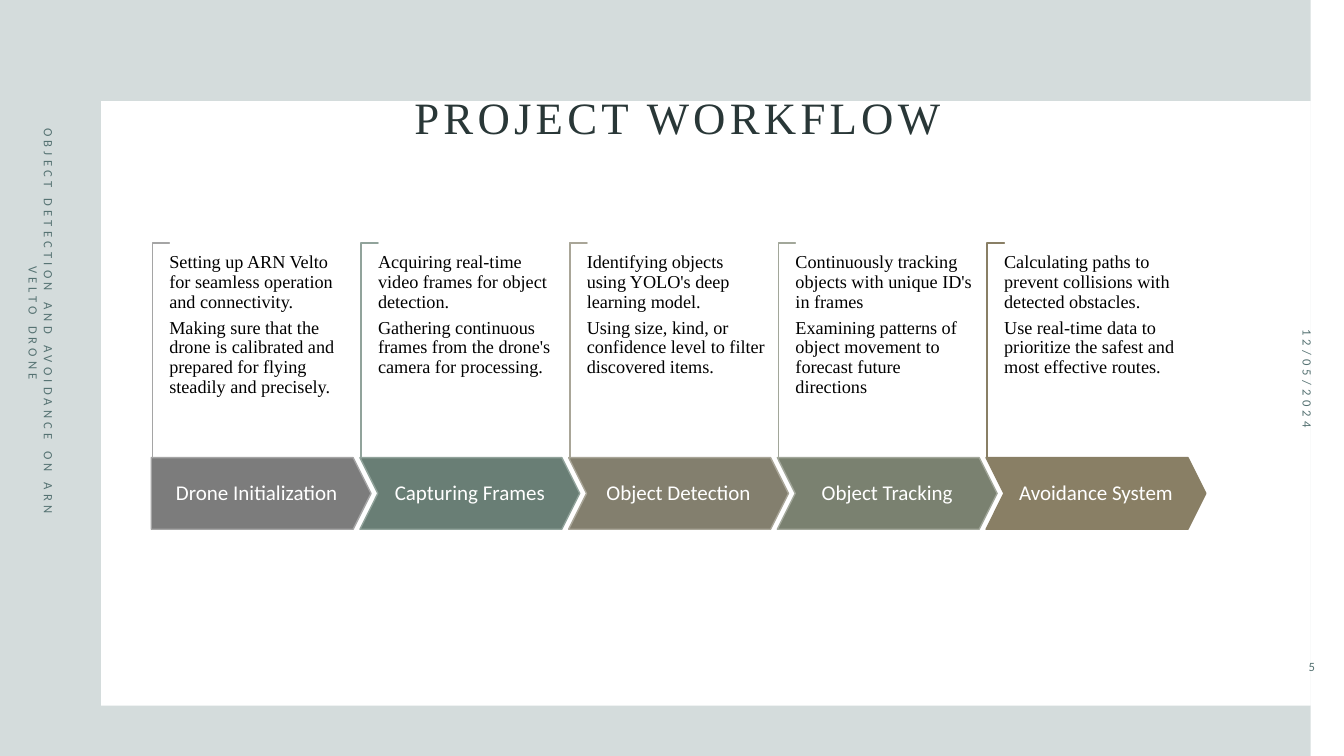
from typing import NamedTuple

from pptx import Presentation
from pptx import util as u
from pptx.dml.color import RGBColor
from pptx.enum import shapes, text

WHITE = RGBColor(0xFF, 0xFF, 0xFF)
BLACK = RGBColor(0, 0, 0)
DARK = RGBColor(0x29, 0x37, 0x37)
TEAL = RGBColor(0x55, 0x72, 0x72)
MIST = RGBColor(0xD4, 0xDC, 0xDC)
GRAY = RGBColor(0x7C, 0x7C, 0x7C)
SILVER = RGBColor(0xA5, 0xA5, 0xA5)
SAGE = RGBColor(0x69, 0x7E, 0x75)
PALE_SAGE = RGBColor(0x91, 0xA3, 0x9B)
STONE = RGBColor(0x83, 0x7F, 0x6E)
PALE_STONE = RGBColor(0xA9, 0xA6, 0x98)
MOSS = RGBColor(0x7A, 0x81, 0x70)
PALE_MOSS = RGBColor(0xA2, 0xA7, 0x9A)
BRONZE = RGBColor(0x89, 0x7F, 0x65)

SERIF = "Times New Roman"
SANS = "Calibri"
LEFT = 1.5
PITCH = 2.07


class Box(NamedTuple):
    left: float
    top: float
    width: float
    height: float


class Style(NamedTuple):
    font: str
    size: float
    color: RGBColor
    align: text.PP_ALIGN
    line: float = 1.0
    after: float = 0
    track: float = 0


class Step(NamedTuple):
    label: str
    fill: RGBColor
    edge: RGBColor
    notes: tuple[str, str]


class Margin(NamedTuple):
    words: str
    box: Box
    turn: int
    align: text.PP_ALIGN


HEAD = Style(SERIF, 32, DARK, text.PP_ALIGN.CENTER, 0.9, track=3)
LABEL = Style(SANS, 15, WHITE, text.PP_ALIGN.CENTER, 0.9)
NOTE = Style(SERIF, 13, BLACK, text.PP_ALIGN.LEFT, 0.9, 4.55)

STEPS = [
    Step("Drone Initialization", GRAY, SILVER, (
        "Setting up ARN Velto for seamless operation and connectivity.",
        "Making sure that the drone is calibrated and prepared for flying "
        "steadily and precisely.")),
    Step("Capturing Frames", SAGE, PALE_SAGE, (
        "Acquiring real-time video frames for object detection.",
        "Gathering continuous frames from the drone's camera for processing.")),
    Step("Object Detection", STONE, PALE_STONE, (
        "Identifying objects using YOLO's deep learning model.",
        "Using size, kind, or confidence level to filter discovered items.")),
    Step("Object Tracking", MOSS, PALE_MOSS, (
        "Continuously tracking objects with unique ID's in frames",
        "Examining patterns of object movement to forecast future directions")),
    Step("Avoidance System", BRONZE, BRONZE, (
        "Calculating paths to prevent collisions with detected obstacles.",
        "Use real-time data to prioritize the safest and most effective routes.")),
]

MARGINS = [
    Margin("OBJECT DETECTION AND AVOIDANCE ON ARN VELTO DRONE",
           Box(-1.84, 2.98, 4.5, 0.45), 90, text.PP_ALIGN.CENTER),
    Margin("12/05/2024", Box(10.72, 3.53, 4.5, 0.45), 90, text.PP_ALIGN.CENTER),
    Margin("5", Box(12.19, 6.41, 0.95, 0.4), 0, text.PP_ALIGN.RIGHT),
]


def place(box: Box) -> list[u.Length]:
    return [u.Inches(side) for side in box]


def write(frame, lines: tuple[str, ...], style: Style, anchor, pad=None) -> None:
    frame.text = "\n".join(lines)
    frame.word_wrap = True
    frame.auto_size = text.MSO_AUTO_SIZE.NONE
    frame.vertical_anchor = anchor
    if pad is not None:
        frame.margin_left = frame.margin_right = u.Inches(pad)
        frame.margin_top = frame.margin_bottom = 0
    for para in frame.paragraphs:
        para.alignment = style.align
        para.line_spacing = style.line
        para.space_before = u.Pt(0)
        para.space_after = u.Pt(style.after)
        for run in para.runs:
            run.font.name = style.font
            run.font.size = u.Pt(style.size)
            run.font.color.rgb = style.color
            if style.track:
                run.font._element.set("spc", str(int(style.track * 100)))


def add_shape(slide, kind, box: Box, fill: RGBColor, edge: RGBColor):
    shape = slide.shapes.add_shape(kind, *place(box))
    shape.shadow.inherit = False
    shape.fill.solid()
    shape.fill.fore_color.rgb = fill
    shape.line.color.rgb = edge
    shape.line.width = u.Pt(1)
    return shape


def add_border(slide) -> None:
    pen = slide.shapes.build_freeform(0, 0, scale=u.Inches(1))
    pen.add_line_segments([(13.33, 0), (13.33, 7.5), (0, 7.5)])
    pen.move_to(0.75, 0.75)
    pen.add_line_segments([(0.75, 6.75), (12.58, 6.75), (12.58, 0.75)])
    border = pen.convert_to_shape()
    border.shadow.inherit = False
    border.fill.solid()
    border.fill.fore_color.rgb = MIST
    border.line.fill.background()


def add_title(slide) -> None:
    title = slide.shapes.title
    title.left, title.top, title.width, title.height = place(
        Box(1.53, 0.69, 10.38, 0.79))
    write(title.text_frame, ("PROJECT WORKFLOW",), HEAD, text.MSO_ANCHOR.BOTTOM)


def add_step(slide, index: int, step: Step) -> None:
    left = LEFT + index * PITCH
    hook = add_shape(slide, shapes.MSO_SHAPE.CORNER,
                     Box(left - 0.97, 3.39, 2.13, 0.17), WHITE, step.edge)
    hook.rotation = 90
    hook.adjustments[0] = hook.adjustments[1] = 0.01
    kind = shapes.MSO_SHAPE.CHEVRON if index else shapes.MSO_SHAPE.PENTAGON
    arrow = add_shape(slide, kind, Box(left, 4.54, 2.18, 0.71),
                      step.fill, step.edge)
    arrow.adjustments[0] = 0.25
    write(arrow.text_frame, (step.label,), LABEL, text.MSO_ANCHOR.MIDDLE, 0.1)
    notes = slide.shapes.add_textbox(*place(Box(left + 0.18, 2.51, 1.77, 1.92)))
    write(notes.text_frame, step.notes, NOTE, text.MSO_ANCHOR.TOP, 0)


def add_margin(slide, item: Margin) -> None:
    box = slide.shapes.add_textbox(*place(item.box))
    box.rotation = item.turn
    style = Style(SANS, 9, TEAL, item.align, track=3)
    write(box.text_frame, (item.words,), style, text.MSO_ANCHOR.MIDDLE)


def main() -> None:
    deck = Presentation()
    deck.slide_width = u.Inches(13.33)
    deck.slide_height = u.Inches(7.5)
    slide = deck.slides.add_slide(deck.slide_layouts[5])
    add_border(slide)
    add_title(slide)
    for index, step in enumerate(STEPS):
        add_step(slide, index, step)
    for item in MARGINS:
        add_margin(slide, item)
    deck.save("out.pptx")


if __name__ == "__main__":
    main()
